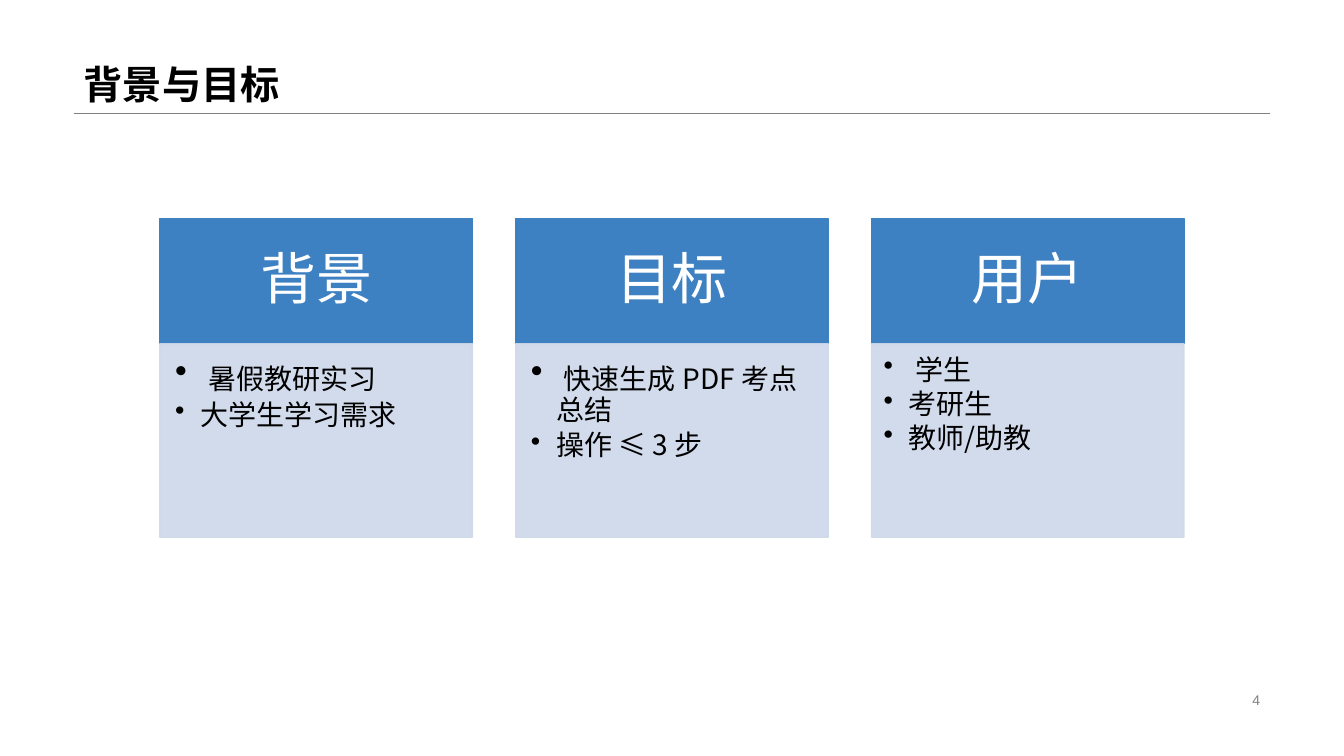
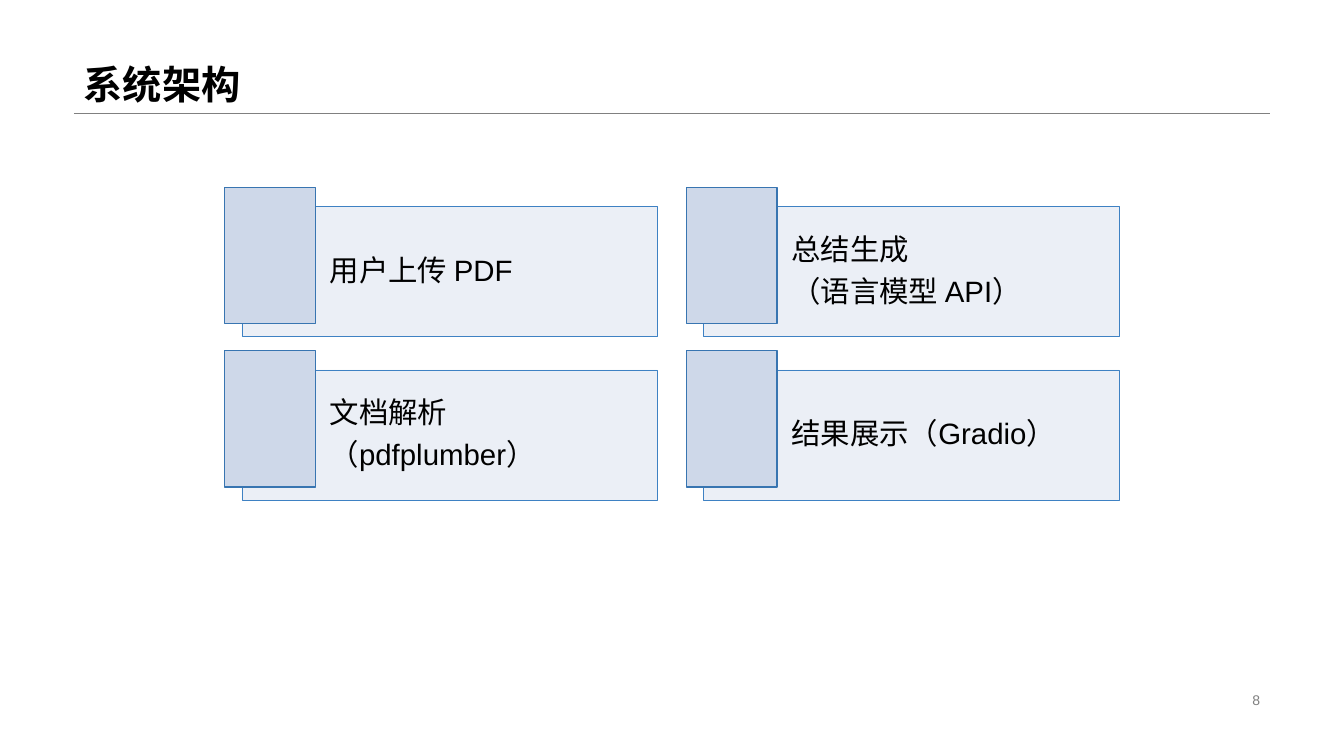
from lxml import etree
from pptx import Presentation
from pptx.dml.color import RGBColor
from pptx.enum.lang import MSO_LANGUAGE_ID
from pptx.enum.shapes import MSO_CONNECTOR, MSO_SHAPE
from pptx.enum.text import MSO_ANCHOR, PP_ALIGN
from pptx.oxml.ns import qn
from pptx.util import Inches, Pt

RECTANGLE = MSO_SHAPE.RECTANGLE
STRAIGHT = MSO_CONNECTOR.STRAIGHT
TOP, MIDDLE, BOTTOM = MSO_ANCHOR.TOP, MSO_ANCHOR.MIDDLE, MSO_ANCHOR.BOTTOM
LEFT, CENTER, RIGHT = PP_ALIGN.LEFT, PP_ALIGN.CENTER, PP_ALIGN.RIGHT
CHINESE = MSO_LANGUAGE_ID.SIMPLIFIED_CHINESE

LATIN, HAN = "Arial", "Noto Sans CJK SC"
BLACK, WHITE, GRAY = "000000", "FFFFFF", "808080"
BLUE, DEEP_BLUE, PALE_BLUE = "3E81C3", "3875B1", "CED8E9"

WIDTH, HEIGHT = 13.333, 7.5
MARGIN = WIDTH * 0.055
RULE_Y = HEIGHT * 0.15
CONTENT_WIDTH = WIDTH - 2 * MARGIN

TITLE = dict(size=28, color=BLACK, bold=True, anchor=BOTTOM, spacing=0.9)
PAGE_NUMBER = dict(size=10, color=GRAY, align=RIGHT)
CARD_HEAD = dict(fill=BLUE, line=BLUE, size=40, align=CENTER, spacing=0.9,
                 insets=(0.31, 0.18, 0.31, 0.18))
CARD_BODY = dict(fill=PALE_BLUE, line=PALE_BLUE, alpha=90, line_alpha=90, size=20,
                 color=BLACK, font=HAN, anchor=TOP, spacing=0.9, after=3, bullet="•")
STEP_PANEL = dict(fill=PALE_BLUE, line=BLUE, alpha=40, line_width=0.5, size=21,
                  color=BLACK, spacing=0.9, after=7.35, insets=(0.87, 0.09, 0.09, 0.09))
STEP_TAB = dict(fill=PALE_BLUE, line=DEEP_BLUE)


def color(value):
    return RGBColor.from_string(value)


def add_block(slide, left, top, width, height, paragraphs=(), fill=None, line=None,
              alpha=100, line_alpha=100, line_width=1, size=18, color_name=None,
              color_value=WHITE, font=LATIN, bold=False, anchor=MIDDLE, align=LEFT,
              spacing=1.0, after=0, bullet=None, insets=(0.1, 0.05, 0.1, 0.05), **extra):
    bounds = [Inches(length) for length in (left, top, width, height)]
    if fill:
        block = slide.shapes.add_shape(RECTANGLE, *bounds)
        block.shadow.inherit = False
        block.fill.solid()
        block.fill.fore_color.rgb = color(fill)
        block.line.color.rgb = color(line)
        block.line.width = Pt(line_width)
        paints = block._element.spPr.iter(qn("a:srgbClr"))
        for paint, opacity in zip(list(paints), (alpha, line_alpha)):
            if opacity < 100:
                etree.SubElement(paint, qn("a:alpha"), val=str(opacity * 1000))
    else:
        block = slide.shapes.add_textbox(*bounds)
    frame = block.text_frame
    sides = ("margin_left", "margin_top", "margin_right", "margin_bottom")
    frame_format = dict(zip(sides, map(Inches, insets)), word_wrap=True, vertical_anchor=anchor)
    for name, value in frame_format.items():
        setattr(frame, name, value)
    for index, runs in enumerate(paragraphs):
        paragraph = frame.add_paragraph() if index else frame.paragraphs[0]
        paragraph_format = dict(alignment=align, line_spacing=spacing, space_after=Pt(after))
        for name, value in paragraph_format.items():
            setattr(paragraph, name, value)
        if bullet:
            properties = paragraph._p.get_or_add_pPr()
            properties.set("marL", str(Inches(0.25)))
            properties.set("indent", str(-Inches(0.25)))
            etree.SubElement(properties, qn("a:buChar"), char=bullet)
        for text, overrides in runs:
            run = paragraph.add_run()
            run.text = text
            run_format = dict(name=font, size=Pt(size), bold=bold, language_id=CHINESE)
            run_format.update(overrides)
            for name, value in run_format.items():
                setattr(run.font, name, value)
            run.font.color.rgb = color(extra.get("color", color_value))
            latin = run._r.rPr.find(qn("a:latin"))
            latin.addnext(latin.makeelement(qn("a:ea"), {"typeface": HAN}))


deck = Presentation()
deck.slide_width, deck.slide_height = Inches(WIDTH), Inches(HEIGHT)
blank = deck.slide_layouts[6]

pages = []
for heading, number in (("背景与目标", "4"), ("系统架构", "8")):
    page = deck.slides.add_slide(blank)
    rule = page.shapes.add_connector(STRAIGHT, Inches(MARGIN), Inches(RULE_Y),
                                     Inches(WIDTH - MARGIN), Inches(RULE_Y))
    rule.line.color.rgb = color(GRAY)
    rule.line.width = Pt(0.25)
    etree.SubElement(rule._element.spPr, qn("a:effectLst"))
    add_block(page, MARGIN, 0, CONTENT_WIDTH, RULE_Y, [[(heading, {})]], **TITLE)
    add_block(page, WIDTH - MARGIN - 3.18, HEIGHT * 0.91, 3.18, 0.23,
              [[(number, {})]], **PAGE_NUMBER)
    pages.append(page)
goals_page, architecture_page = pages

LEAD_SPACE = (" ", dict(name=LATIN, size=Pt(25)))
WIDE_INSETS, TIGHT_INSETS = (0.15, 0.15, 0.19, 0.22), (0.12, 0.12, 0.16, 0.17)
cards = [
    ("背景", WIDE_INSETS, [[LEAD_SPACE, ("暑假教研实习", {})], [("大学生学习需求", {})]]),
    ("目标", WIDE_INSETS, [[LEAD_SPACE, ("快速生成 PDF 考点总结", {})], [("操作 ≤ 3 步", {})]]),
    ("用户", TIGHT_INSETS, [[(" 学生", {})], [("考研生", {})], [("教师/助教", {})]]),
]
CARD_WIDTH, CARD_GAP, CARD_TOP = 3.1, 0.43, 2.17
HEAD_HEIGHT, BODY_HEIGHT = 1.24, 1.92
cards_left = (WIDTH - len(cards) * CARD_WIDTH - (len(cards) - 1) * CARD_GAP) / 2
for column, (topic, insets, points) in enumerate(cards):
    left = cards_left + column * (CARD_WIDTH + CARD_GAP)
    add_block(goals_page, left, CARD_TOP, CARD_WIDTH, HEAD_HEIGHT, [[(topic, {})]], **CARD_HEAD)
    add_block(goals_page, left, CARD_TOP + HEAD_HEIGHT, CARD_WIDTH, BODY_HEIGHT, points,
              insets=insets, **CARD_BODY)

steps = [
    ["用户上传 PDF"], ["总结生成", "（语言模型 API）"],
    ["文档解析", "（pdfplumber）"], ["结果展示（Gradio）"],
]
STEP_LEFT, STEP_TOP, COLUMN_PITCH, ROW_PITCH = 2.4, 2.05, 4.58, 1.62
for index, lines in enumerate(steps):
    row, column = divmod(index, 2)
    left, top = STEP_LEFT + column * COLUMN_PITCH, STEP_TOP + row * ROW_PITCH
    add_block(architecture_page, left, top, 4.12, 1.29,
              [[(text, {})] for text in lines], **STEP_PANEL)
    add_block(architecture_page, left - 0.17, top - 0.19, 0.9, 1.35, **STEP_TAB)

deck.save("out.pptx")
